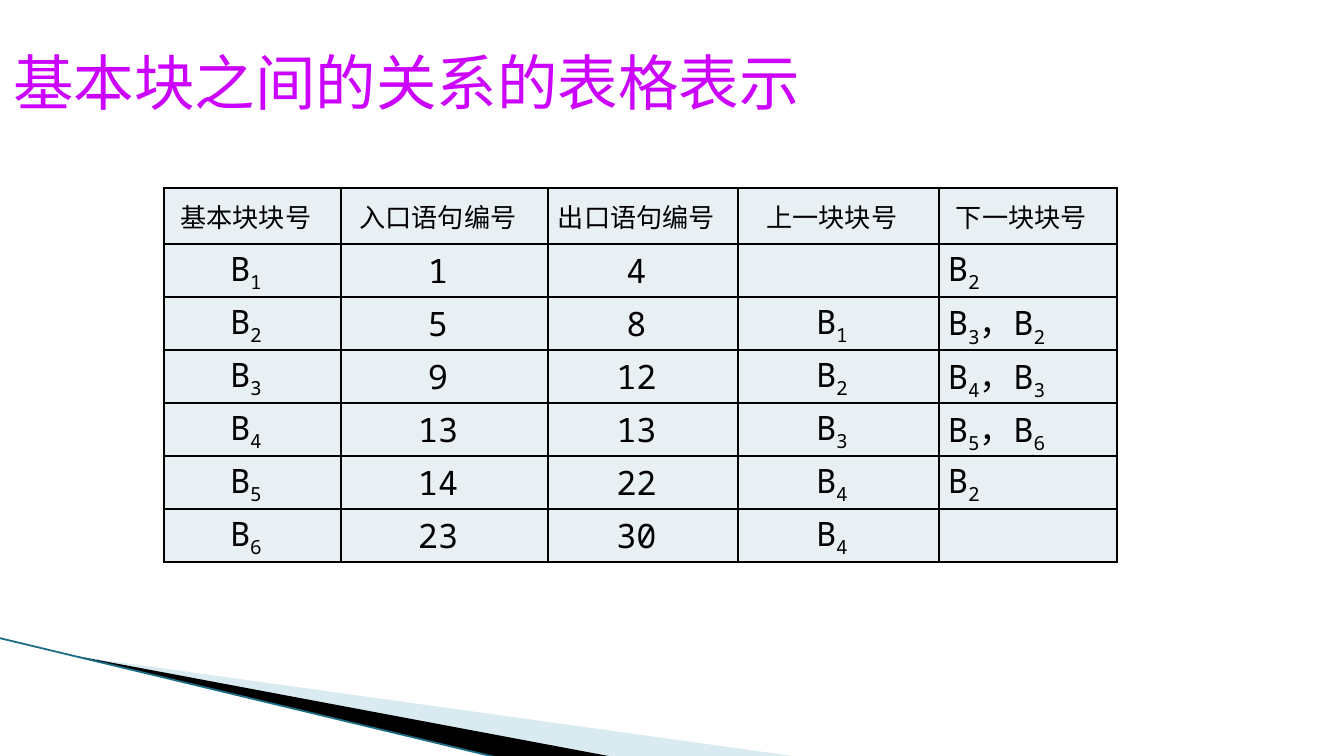
from pptx import Presentation
from pptx.dml.color import RGBColor
from pptx.enum.shapes import MSO_CONNECTOR
from pptx.enum.text import MSO_ANCHOR, PP_ALIGN
from pptx.oxml.ns import qn
from pptx.util import Pt
from lxml import etree

PX = 914400 / 134.4
STRAIGHT = MSO_CONNECTOR.STRAIGHT
MIDDLE = MSO_ANCHOR.MIDDLE
LEFT, CENTER = PP_ALIGN.LEFT, PP_ALIGN.CENTER

BLACK = RGBColor(0x00, 0x00, 0x00)
PURPLE = RGBColor(0xCC, 0x00, 0xFF)
PALE_BLUE = RGBColor(0xA0, 0xCB, 0xDC)
TEAL = RGBColor(0x1B, 0x6E, 0x85)
CELL_FILL = RGBColor(0xE8, 0xF0, 0xF4)

SANS, MONO = "Noto Sans CJK SC", "Noto Sans Mono"

COLUMN_WIDTHS = [177, 207, 190, 201, 178]
HEADER_HEIGHT, ROW_HEIGHT = 56, 53
HEADERS = ["基本块块号", "入口语句编号", "出口语句编号", "上一块块号", "下一块块号"]
# Block, entry statement, exit statement, previous block, next blocks
BLOCKS = [
    ["B1", "1", "4", "", "B2"],
    ["B2", "5", "8", "B1", "B3，B2"],
    ["B3", "9", "12", "B2", "B4，B3"],
    ["B4", "13", "13", "B3", "B5，B6"],
    ["B5", "14", "22", "B4", "B2"],
    ["B6", "23", "30", "B4", ""],
]


def px(length):
    return round(length * PX)


def apply_format(target, values):
    for name, value in values.items():
        setattr(target, name, value)


def add_span(para, text, size, font, color, subscript=False):
    span = para.add_run()
    span.text = text
    apply_format(span.font, {"size": Pt(size), "name": font, "bold": False})
    span.font.color.rgb = color
    properties = span.font._element
    etree.SubElement(properties, qn("a:ea")).set("typeface", SANS)
    if subscript:
        properties.set("baseline", "-25000")


def add_wedge(page, points, color, opacity=100):
    corners = [(px(x), px(y)) for x, y in points]
    builder = page.shapes.build_freeform(*corners[0])
    builder.add_line_segments(corners[1:], close=True)
    wedge = builder.convert_to_shape()
    wedge.shadow.inherit = False
    wedge.line.fill.background()
    wedge.fill.solid()
    wedge.fill.fore_color.rgb = color
    if opacity < 100:
        fill_color = wedge._element.spPr.find(qn("a:solidFill"))[0]
        etree.SubElement(fill_color, qn("a:alpha")).set("val", str(opacity * 1000))


def add_line(page, start, end, color, width):
    line = page.shapes.add_connector(STRAIGHT, *map(px, start + end))
    line.line.color.rgb = color
    line.line.width = Pt(width)
    etree.SubElement(line._element.spPr, qn("a:effectLst"))


def add_borders(cell, color, width):
    properties = cell._tc.get_or_add_tcPr()
    for place, side in enumerate(("lnL", "lnR", "lnT", "lnB")):
        border = etree.Element(qn(f"a:{side}"), w=str(Pt(width)))
        fill = etree.SubElement(border, qn("a:solidFill"))
        etree.SubElement(fill, qn("a:srgbClr")).set("val", str(color))
        properties.insert(place, border)


def fill_cell(cell, text, size, align):
    apply_format(cell, {
        "vertical_anchor": MIDDLE, "margin_left": px(9), "margin_right": px(22),
        "margin_top": 0, "margin_bottom": 0,
    })
    cell.fill.solid()
    cell.fill.fore_color.rgb = CELL_FILL
    add_borders(cell, BLACK, 1)
    para = cell.text_frame.paragraphs[0]
    para.alignment = align
    # The digit after each block letter is a subscript
    if "B" not in text:
        if text:
            add_span(para, text, size, MONO, BLACK)
        return
    for part in text.split("，"):
        prefix = "，" if para.runs else ""
        add_span(para, prefix + part[0], size, MONO, BLACK)
        add_span(para, part[1:], size, MONO, BLACK, subscript=True)


def add_block_table(page, left, top):
    rows = [HEADERS] + BLOCKS
    heights = [HEADER_HEIGHT] + [ROW_HEIGHT] * len(BLOCKS)
    frame = page.shapes.add_table(len(rows), len(HEADERS), px(left), px(top),
                                  px(sum(COLUMN_WIDTHS)), px(sum(heights)))
    table = frame.table
    apply_format(table, {"first_row": False, "horz_banding": False})
    for column, width in zip(table.columns, COLUMN_WIDTHS):
        column.width = px(width)
    for row_number, (texts, height) in enumerate(zip(rows, heights)):
        table.rows[row_number].height = px(height)
        is_header = row_number == 0
        for column_number, text in enumerate(texts):
            is_next = column_number == len(HEADERS) - 1
            fill_cell(table.cell(row_number, column_number), text,
                      14 if is_header else 18,
                      LEFT if is_next and not is_header else CENTER)


def set_title(page, text):
    title = page.shapes.title
    apply_format(title, {"left": 0, "top": px(39), "width": px(1210), "height": px(85)})
    apply_format(title.text_frame, {"vertical_anchor": MIDDLE, "word_wrap": True})
    para = title.text_frame.paragraphs[0]
    para.alignment = LEFT
    add_span(para, text, 32.4, SANS, PURPLE)


def main():
    deck = Presentation()
    deck.slide_width, deck.slide_height = px(1344), px(756)
    page = deck.slides.add_slide(deck.slide_layouts[5])

    # Corner decoration
    add_wedge(page, [(74, 656), (800, 757), (613, 757)], PALE_BLUE, opacity=40)
    add_wedge(page, [(71, 655), (614, 757), (500, 758), (73, 656)], BLACK)
    add_line(page, (-1, 638), (499, 758), TEAL, 0.95)

    # Title and table
    set_title(page, "基本块之间的关系的表格表示")
    add_block_table(page, 164, 188)

    deck.save("out.pptx")


if __name__ == "__main__":
    main()
